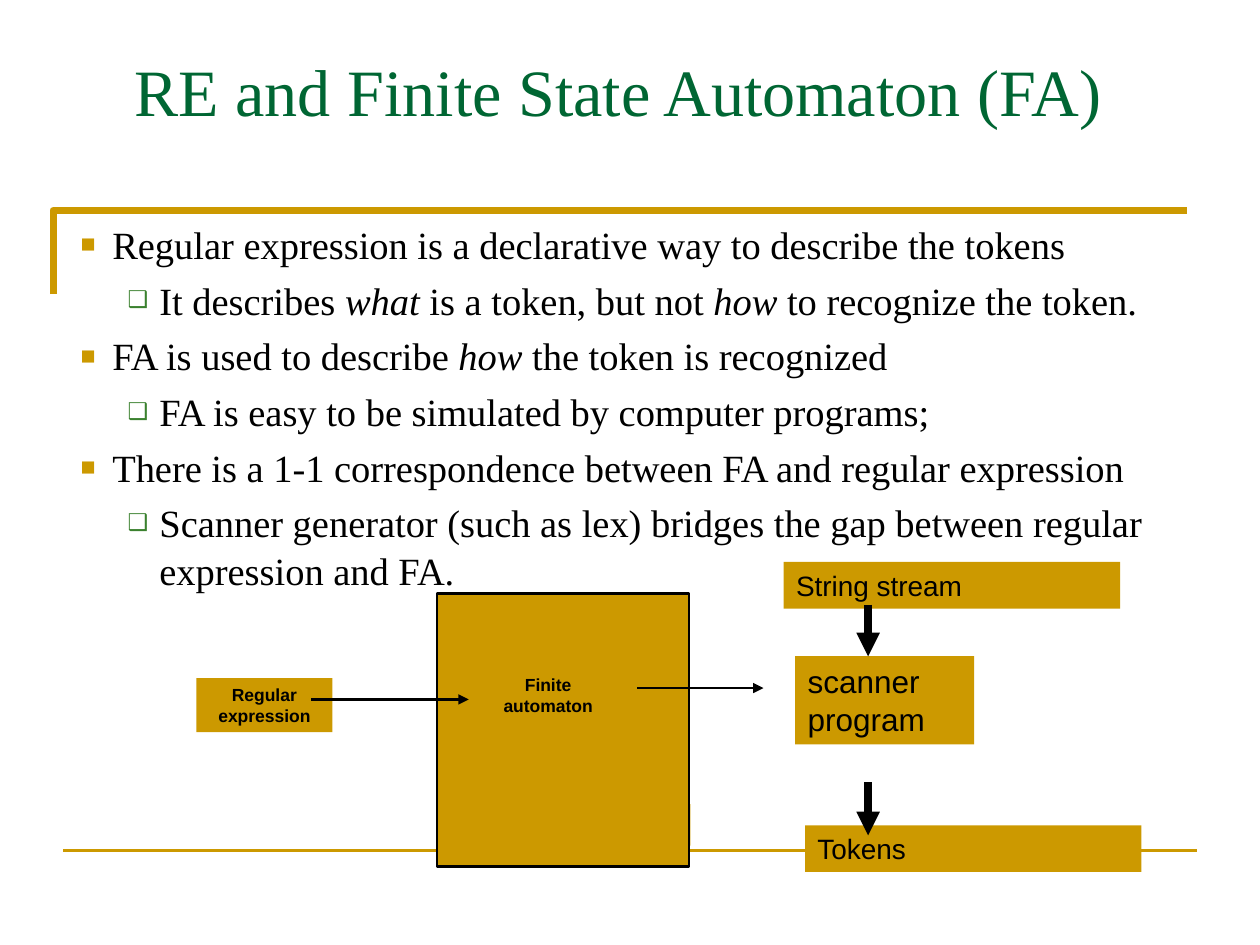
from lxml.etree import SubElement
from pptx import Presentation
from pptx.dml.color import RGBColor
from pptx.enum.shapes import MSO_CONNECTOR, MSO_SHAPE
from pptx.enum.text import MSO_ANCHOR, MSO_AUTO_SIZE, PP_ALIGN
from pptx.oxml.ns import qn
from pptx.util import Cm, Pt

GOLD, GREEN, BLACK, WHITE = "CC9900", "006633", "000000", "FFFFFF"
SERIF, SANS = "Times New Roman", "Arial"
# level: (left margin in cm, bullet, bullet colour, bullet size in percent)
BULLETS = {0: (0.64, "■", GOLD, 65), 1: (1.59, "❑", "3B812F", 60)}
# Asterisks enclose italic words.
POINTS = [
    (0, "Regular expression is a declarative way to describe the tokens"),
    (1, "It describes *what* is a token, but not *how* to recognize the token."),
    (0, "FA is used to describe* how* the token is recognized"),
    (1, "FA is easy to be simulated by computer programs;"),
    (0, "There is a 1-1 correspondence between FA and regular expression"),
    (1, "Scanner generator (such as lex) bridges the gap between regular "
        "expression and FA."),
]


def color(code):
    return RGBColor.from_string(code)


def set_font(paragraph, name, size, code, bold=False):
    font = paragraph.font
    font.name, font.size, font.bold = name, Pt(size), bold
    font.color.rgb = color(code)


def place(shape, left, top, width, height):
    shape.left, shape.top = Cm(left), Cm(top)
    shape.width, shape.height = Cm(width), Cm(height)


def set_frame(frame):
    frame.word_wrap = True
    frame.auto_size = MSO_AUTO_SIZE.NONE
    frame.vertical_anchor = MSO_ANCHOR.TOP


def set_bullet(paragraph, level):
    margin, mark, code, percent = BULLETS[level]
    properties = paragraph._p.get_or_add_pPr()
    properties.set("marL", str(Cm(margin)))
    properties.set("indent", str(-Cm(0.64)))
    bullet_color = SubElement(properties, qn("a:buClr"))
    SubElement(bullet_color, qn("a:srgbClr"), val=code)
    SubElement(properties, qn("a:buSzPct"), val=str(percent * 1000))
    SubElement(properties, qn("a:buFont"), typeface=SANS)
    SubElement(properties, qn("a:buChar"), char=mark)


def fill_title(title, text):
    place(title, 2.46, 0.76, 20.27, 1.63)
    frame = title.text_frame
    set_frame(frame)
    frame.margin_top = Cm(0.25)
    paragraph = frame.paragraphs[0]
    paragraph.text = text
    paragraph.alignment = PP_ALIGN.LEFT
    set_font(paragraph, SERIF, 37.8, GREEN)


def fill_body(body):
    place(body, 1.37, 4.29, 22.66, 7.77)
    body.fill.solid()
    body.fill.fore_color.rgb = color(WHITE)
    frame = body.text_frame
    set_frame(frame)
    for number, (level, text) in enumerate(POINTS):
        paragraph = frame.add_paragraph() if number else frame.paragraphs[0]
        paragraph.level = level
        paragraph.line_spacing = 1.04
        paragraph.space_before = Pt(4.4)
        set_bullet(paragraph, level)
        set_font(paragraph, SERIF, 22, BLACK)
        for part, words in enumerate(text.split("*")):
            span = paragraph.add_run()
            span.text = words
            if part % 2:
                span.font.italic = True


def add_box(page, left, top, width, height, text="", size=16, bold=False,
            alignment=PP_ALIGN.LEFT, outlined=False):
    box = page.shapes.add_shape(MSO_SHAPE.RECTANGLE, Cm(left), Cm(top),
                                Cm(width), Cm(height))
    box.shadow.inherit = False
    box.fill.solid()
    box.fill.fore_color.rgb = color(GOLD)
    if outlined:
        box.line.color.rgb = color(BLACK)
        box.line.width = Pt(1.5)
    else:
        box.line.fill.background()
    if text:
        set_frame(box.text_frame)
        paragraph = box.text_frame.paragraphs[0]
        paragraph.text = text
        paragraph.alignment = alignment
        set_font(paragraph, SANS, size, BLACK, bold)


def add_line(page, start, end, width, code=BLACK, arrow=True):
    line = page.shapes.add_connector(MSO_CONNECTOR.STRAIGHT,
                                     *map(Cm, start), *map(Cm, end))
    line.line.color.rgb = color(code)
    line.line.width = Pt(width)
    if arrow:
        SubElement(line.line._get_or_add_ln(), qn("a:tailEnd"), type="triangle")
    SubElement(line._element.spPr, qn("a:effectLst"))


def add_corner(page):
    builder = page.shapes.build_freeform(Cm(1.07), Cm(5.93))
    builder.add_line_segments([(Cm(1.07), Cm(4.24)), (Cm(23.93), Cm(4.24))],
                              close=False)
    corner = builder.convert_to_shape()
    corner.shadow.inherit = False
    corner.fill.background()
    corner.line.color.rgb = color(GOLD)
    corner.line.width = Pt(4)


def add_diagram(page):
    label = {"size": 10, "bold": True, "alignment": PP_ALIGN.CENTER}
    add_box(page, 9.04, 16.21, 4.88, 0.84)
    add_box(page, 8.81, 11.96, 5.08, 5.51, outlined=True)
    add_box(page, 9.68, 13.46, 2.74, 1.09, "Finite\vautomaton", **label)
    add_box(page, 3.96, 13.67, 2.74, 1.09, "Regular\vexpression", **label)
    add_box(page, 16.03, 13.23, 3.61, 1.78, "scanner program", size=18)
    add_line(page, (6.27, 14.1), (9.45, 14.1), 1.5)
    add_line(page, (12.85, 13.87), (15.39, 13.87), 1.5)
    add_box(page, 15.8, 11.33, 6.78, 0.94, "String stream")
    add_box(page, 16.23, 16.64, 6.78, 0.94, "Tokens")
    for top, bottom in ((12.19, 13.23), (15.77, 16.84)):
        add_line(page, (17.5, top), (17.5, bottom), 4.5)


def main():
    deck = Presentation()
    deck.slide_width, deck.slide_height = Cm(25.4), Cm(19.05)
    page = deck.slides.add_slide(deck.slide_layouts[1])
    fill_title(page.shapes.title, "RE and Finite State Automaton (FA)")
    fill_body(page.placeholders[1])
    add_corner(page)
    add_line(page, (1.27, 17.15), (24.13, 17.15), 2, GOLD, arrow=False)
    add_diagram(page)
    deck.save("out.pptx")


if __name__ == "__main__":
    main()
